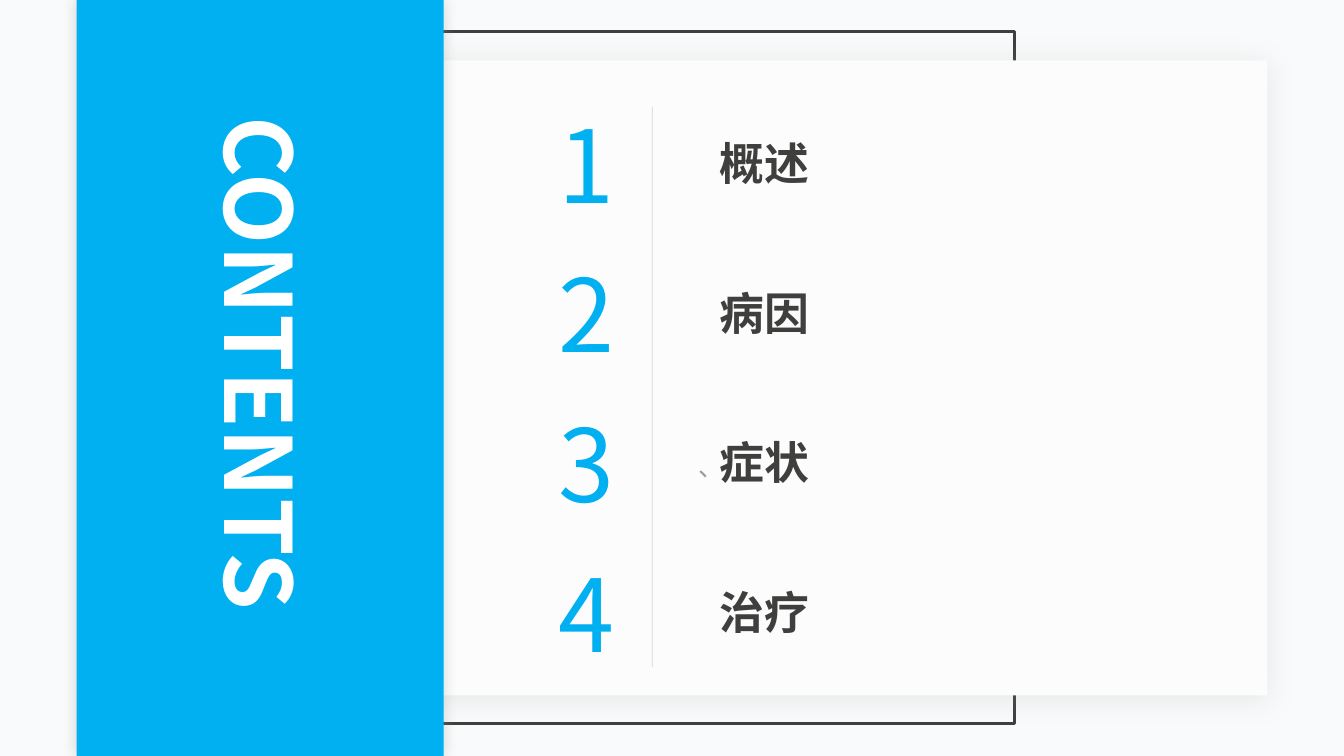
from lxml.etree import SubElement as Sub
from pptx import Presentation
from pptx.dml.color import RGBColor as RGB
from pptx.enum.shapes import MSO_CONNECTOR as Conn, MSO_SHAPE as Kind
from pptx.enum.text import MSO_ANCHOR as Anchor, MSO_AUTO_SIZE as Auto, PP_ALIGN as Align
from pptx.oxml.ns import qn
from pptx.util import Inches, Pt

BLUE = RGB(0x00, 0xB0, 0xF0)
DARK = RGB(0x3F, 0x40, 0x3E)
GREY = RGB(0x96, 0x9F, 0x98)
PAPER = RGB(0xFC, 0xFC, 0xFD)
BACK = RGB(0xF9, 0xFA, 0xFB)
WHITE = RGB(0xFF, 0xFF, 0xFF)

FONT = "Noto Sans CJK SC"
ITEMS = ["概述", "病因", "症状", "治疗"]
STEP = 19.78  # row pitch, in percent of the height

HEAD = {"size": Pt(66), "bold": True}
ITEM = {"size": Pt(32), "bold": True}
NUM = {"size": Pt(72), "bold": False}
MARK = {"size": Pt(18), "bold": False}


class Page:
    """Draws on one slide; lengths are percent of its width and height."""

    def __init__(self, deck):
        self.wide, self.high = deck.slide_width, deck.slide_height
        self.slide = deck.slides.add_slide(deck.slide_layouts[5])
        self.shapes = self.slide.shapes
        fill = self.slide.background.fill
        fill.solid()
        fill.fore_color.rgb = BACK

    def x(self, part):
        return round(self.wide * part / 100)

    def y(self, part):
        return round(self.high * part / 100)

    def box(self, left, top, wide, high):
        return self.x(left), self.y(top), self.x(wide), self.y(high)

    def rect(self, area, fill=None, line=None, shade=None):
        shape = self.shapes.add_shape(Kind.RECTANGLE, *self.box(*area))
        shape.shadow.inherit = False
        if fill is None:
            shape.fill.background()
        else:
            shape.fill.solid()
            shape.fill.fore_color.rgb = fill
        if line is None:
            shape.line.fill.background()
        else:
            shape.line.color.rgb = line
            shape.line.width = Pt(2)
        if shade:
            self.shade(shape, *shade)

    def shade(self, shape, alpha, blur, dist, angle):
        glow = shape._element.spPr.find(qn("a:effectLst"))
        outer = Sub(glow, qn("a:outerShdw"), blurRad=str(Pt(blur)), dist=str(Pt(dist)),
                    dir=str(angle * 60000), algn="ctr", rotWithShape="0")
        tint = Sub(outer, qn("a:srgbClr"), val=str(GREY))
        Sub(tint, qn("a:alpha"), val=str(alpha * 1000))

    def rule(self, x, top, end):
        line = self.shapes.add_connector(
            Conn.STRAIGHT, self.x(x), self.y(top), self.x(x), self.y(end))
        line.line.color.rgb = GREY
        line.line.width = Pt(0.5)
        props = line._element.spPr
        tint = next(props.iter(qn("a:srgbClr")))
        Sub(tint, qn("a:alpha"), val="40000")
        Sub(props, qn("a:effectLst"))

    def text(self, area, words, form, color, align=Align.LEFT, wrap=False, space=None, lead=None):
        shape = self.shapes.add_textbox(*self.box(*area))
        self.label(shape, words, form, color, align, wrap, space, lead)

    def title(self, area, words, form, color):
        shape = self.shapes.title
        shape.left, shape.top, shape.width, shape.height = self.box(*area)
        shape.rotation = 90
        self.label(shape, words, form, color)
        # Bring the title in front of the band
        tree = shape._element.getparent()
        tree.append(shape._element)

    def label(self, shape, words, form, color, align=Align.LEFT, wrap=False, space=None, lead=None):
        frame = shape.text_frame
        frame.word_wrap = wrap
        frame.auto_size = Auto.SHAPE_TO_FIT_TEXT
        frame.vertical_anchor = Anchor.TOP
        para = frame.paragraphs[0]
        para.alignment = align
        if lead:
            para.line_spacing = lead
        run = para.add_run()
        run.text = words
        for key, value in {"name": FONT, **form}.items():
            setattr(run.font, key, value)
        run.font.color.rgb = color
        props = run._r.get_or_add_rPr()
        Sub(props, qn("a:ea"), typeface=FONT)
        if space is not None:
            props.set("spc", str(space))


def main():
    deck = Presentation()
    deck.slide_width, deck.slide_height = Inches(13.33), Inches(7.5)
    page = Page(deck)

    # Frame and card
    page.rect((19.05, 4.13, 56.41, 91.6), line=DARK)
    page.rect((17.63, 8, 76.67, 84), fill=PAPER, shade=(20, 20, 3, 90))

    # Numbered contents
    page.rule(48.54, 14.13, 88.27)
    for row, item in enumerate(ITEMS):
        down = row * STEP
        page.text((52.81, 17.33 + down, 8.18, 8.53), item, ITEM, DARK, Align.CENTER)
        page.text((40.81, 12.93 + down, 5.63, 17.47), str(row + 1), NUM, BLUE,
                  Align.CENTER, space=-300)
    page.text((51.24, 58.27, 36.98, 5.87), "、", MARK, GREY, wrap=True, lead=1.2)

    # Blue band with the title
    page.rect((5.7, 0, 27.31, 100), fill=BLUE, shade=(40, 10, 0, 0))
    page.title((-0.83, 42, 40.44, 16.13), "CONTENTS", HEAD, WHITE)

    deck.save("out.pptx")


if __name__ == "__main__":
    main()
